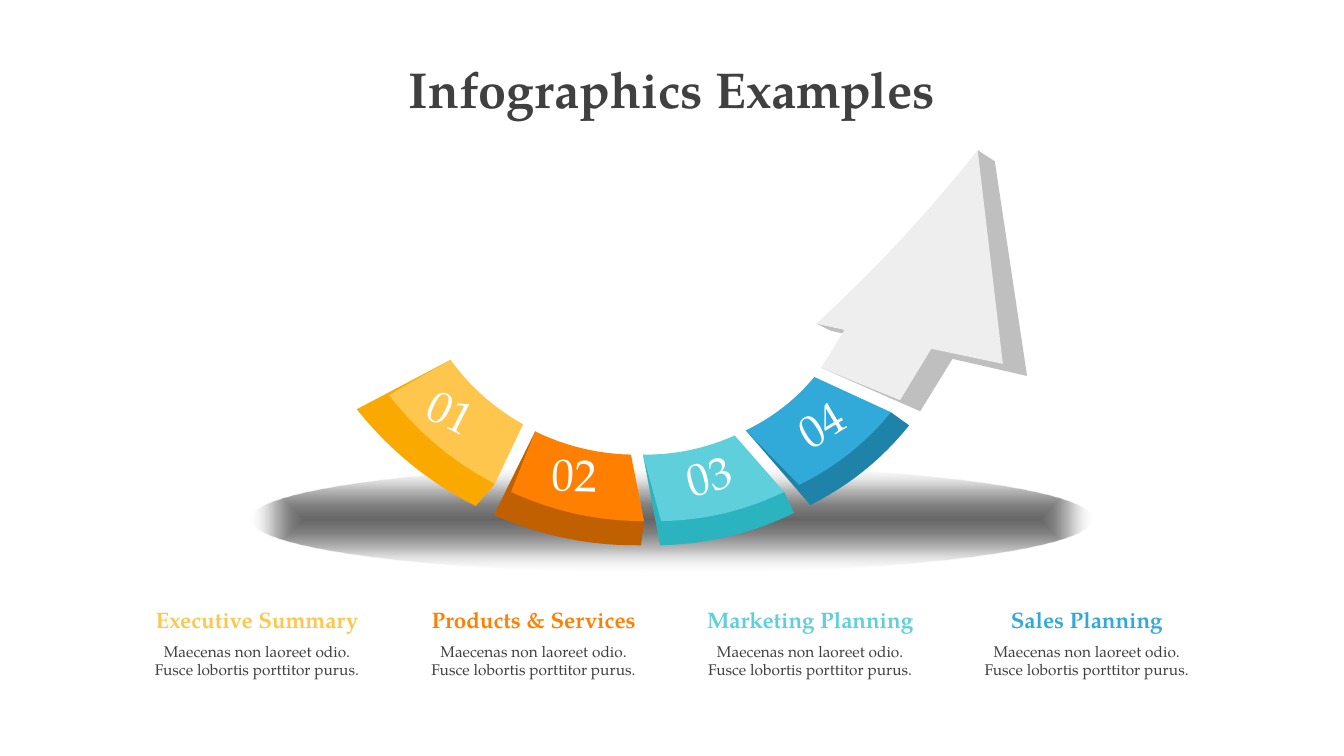
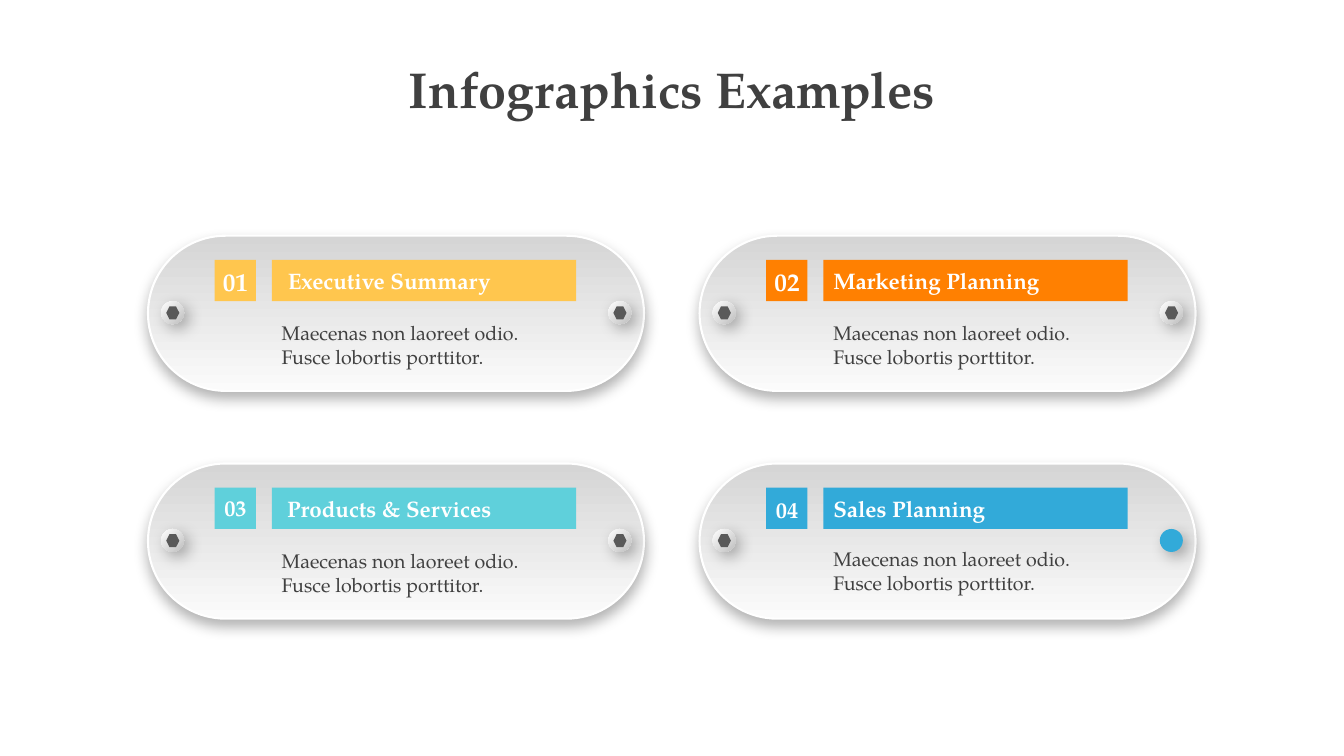
from pptx import Presentation
from pptx import util as u
from pptx.dml.color import RGBColor
from pptx.enum import shapes, text
from pptx.oxml import parse_xml
from pptx.oxml.ns import nsdecls, qn

FONT = "TeX Gyre Pagella"
COLORS = {
    "ink": "404040", "white": "FFFFFF", "black": "000000",
    "yellow": "FFC64E", "yellow_side": "FAA900",
    "orange": "FF8001", "orange_side": "C06000",
    "teal": "5FD0DB", "teal_side": "2BB3C0",
    "blue": "32AAD9", "blue_side": "1F82A9",
    "arrow": "EEEEEE", "arrow_side": "BFBFBF",
    "panel_top": "D5D5D5", "panel_end": "FBFBFB",
    "ground_edge": "D7D7D7", "hole": "595959",
}
STEP_COLORS = ["yellow", "orange", "teal", "blue"]
TITLE = "Infographics Examples"
GRID = u.Cm(0.0254)  # drawing unit of the ribbon outlines
BOW = 0.055  # sag of the ribbon edges, as a share of their length
CURVE_STEPS = 12
PANEL_SHADOW = dict(alpha=30, blur=10, distance=5, angle=90)
BOLT_SHADOW = dict(alpha=29, blur=11, distance=5, angle=45)

# Left and right ends of each block's inner, outer and bottom edge
RIBBON = [
    [((447, 357), (519, 421)), ((386, 392), (491, 480)), ((354, 406), (472, 502))],
    [((531, 428), (626, 451)), ((507, 488), (639, 517)), ((490, 511), (636, 541))],
    [((638, 451), (729, 432)), ((656, 517), (778, 488)), ((655, 541), (788, 509))],
    [((740, 427), (808, 374)), ((793, 481), (884, 409)), ((804, 501), (902, 422))],
]
# Corners of the arrowhead
TIP, LEFT_BARB, RIGHT_BARB = (970, 149), (810, 321), (995, 361)
NECK_LEFT, NECK_RIGHT = (838, 327), (924, 346)
TAIL_LEFT, TAIL_RIGHT = (815, 365), (893, 397)
ARROW_SIDE = [TIP, (987, 160), (1019, 373), (945, 356), (913, 408), TAIL_LEFT,
              (837, 331), (824, 328), LEFT_BARB, NECK_RIGHT]
# Left, top and rotation of the numbers on the ribbon
RIBBON_NUMBERS = [(10.44, 9.55, 27), (13.56, 11.13, 2), (16.94, 11.15, -15), (19.76, 9.86, -31)]
CAPTIONS = ["Executive Summary", "Products & Services", "Marketing Planning", "Sales Planning"]

# Heading, heading alignment, number size, number top, description top
PANELS = [
    ("Executive Summary", "CENTER", 18, 0.64, 2.03),
    ("Marketing Planning", "LEFT", 18, 0.64, 2.03),
    ("Products & Services", "CENTER", 16, 0.64, 2.03),
    ("Sales Planning", "LEFT", 16, 0.69, 1.98),
]


def rgb(color):
    return RGBColor.from_string(COLORS[color])


def sagging(start, end, bow=BOW):
    """Points of an edge, left to right, that sags below its chord."""
    (x, y), (end_x, end_y) = start, end
    width, height = end_x - x, end_y - y
    points = []
    for step in range(CURVE_STEPS + 1):
        t = step / CURVE_STEPS
        sag = 4 * bow * t * (1 - t)
        points.append((x + t * width - sag * height, y + t * height + sag * width))
    return points


class Deck:
    def __init__(self):
        self.prs = Presentation()
        self.prs.slide_width, self.prs.slide_height = u.Cm(33.87), u.Cm(19.05)
        self.slide = None

    def new_slide(self, title):
        self.slide = self.prs.slides.add_slide(self.prs.slide_layouts[6])
        self.label((0, 1.35, 33.87, 1.8), [(title, 36, "ink", True)])

    def label(self, box, lines, align="CENTER", rotation=0):
        """Each line is (wording, size, colour, bold)."""
        holder = self.slide.shapes.add_textbox(*map(u.Cm, box))
        holder.rotation = rotation
        frame = holder.text_frame
        frame.word_wrap = True
        frame.auto_size = text.MSO_AUTO_SIZE.SHAPE_TO_FIT_TEXT
        for index, (wording, size, color, bold) in enumerate(lines):
            line = frame.add_paragraph() if index else frame.paragraphs[0]
            line.alignment = getattr(text.PP_ALIGN, align)
            if index:
                line.space_before = u.Pt(6)
            run = line.add_run()
            run.text = wording
            run.font.name, run.font.size, run.font.bold = FONT, u.Pt(size), bold
            run.font.color.rgb = rgb(color)

    def paint(self, shape, color):
        shape.shadow.inherit = False
        shape.line.fill.background()
        shape.fill.solid()
        shape.fill.fore_color.rgb = rgb(color)
        return shape

    def block(self, kind, box, color):
        kind = getattr(shapes.MSO_SHAPE, kind)
        return self.paint(self.slide.shapes.add_shape(kind, *map(u.Cm, box)), color)

    def outline(self, points, color):
        start, *rest = [(x * GRID, y * GRID) for x, y in points]
        builder = self.slide.shapes.build_freeform(*start)
        builder.add_line_segments(rest, close=True)
        self.paint(builder.convert_to_shape(), color)

    def ribbon_block(self, inner, outer, bottom, color):
        self.outline([inner[0], *sagging(*bottom), outer[1]], f"{color}_side")
        self.outline(sagging(*inner) + sagging(*outer)[::-1], color)

    def arrowhead(self):
        self.outline(ARROW_SIDE, "arrow_side")
        self.outline(sagging(LEFT_BARB, TIP, 0.02) + [
            RIGHT_BARB, NECK_RIGHT, TAIL_RIGHT, TAIL_LEFT, NECK_LEFT], "arrow")

    def gradient(self, shape, stops, angle=None):
        """Stops are (position, colour, opacity); no angle spreads from the centre."""
        marks = "".join(
            f'<a:gs pos="{pos * 1000}"><a:srgbClr val="{COLORS[color]}">'
            f'<a:alpha val="{alpha * 1000}"/></a:srgbClr></a:gs>'
            for pos, color, alpha in stops)
        if angle is None:
            spread = ('<a:path path="shape"><a:fillToRect l="50000" t="50000" '
                      'r="50000" b="50000"/></a:path>')
        else:
            spread = f'<a:lin ang="{angle * 60000}" scaled="0"/>'
        props = shape._element.spPr
        props.replace(props.find(qn("a:solidFill")), parse_xml(
            f'<a:gradFill {nsdecls("a")} rotWithShape="1"><a:gsLst>{marks}</a:gsLst>'
            f'{spread}</a:gradFill>'))

    def drop_shadow(self, shape, alpha, blur, distance, angle):
        shape._element.spPr.find(qn("a:effectLst")).append(parse_xml(
            f'<a:outerShdw {nsdecls("a")} blurRad="{u.Pt(blur)}" dist="{u.Pt(distance)}" '
            f'dir="{angle * 60000}" algn="ctr" rotWithShape="0">'
            f'<a:srgbClr val="{COLORS["black"]}"><a:alpha val="{alpha * 1000}"/></a:srgbClr>'
            f'</a:outerShdw>'))

    def bolt(self, left, top, plain_color=None):
        head = self.block("OVAL", (left, top, 0.58, 0.58), plain_color or "white")
        if not plain_color:
            self.gradient(head, [(0, "white", 100), (100, "arrow_side", 100)], 45)
        self.drop_shadow(head, **BOLT_SHADOW)
        self.block("HEXAGON", (left + 0.13, top + 0.13, 0.33, 0.33), plain_color or "hole")

    def panel(self, left, top):
        plate = self.block("ROUNDED_RECTANGLE", (left, top, 12.5, 3.91), "white")
        plate.adjustments[0] = 0.5
        self.gradient(plate, [(0, "panel_top", 100), (100, "panel_end", 100)], 90)
        plate.line.color.rgb = rgb("white")
        plate.line.width = u.Pt(1.5)
        self.drop_shadow(plate, **PANEL_SHADOW)


def ribbon_slide(deck):
    deck.new_slide(TITLE)
    # Shadow on the ground
    ground = deck.block("OVAL", (6.32, 11.73, 21.21, 2.69), "black")
    deck.gradient(ground, [(0, "black", 60), (27, "black", 49), (54, "black", 28),
                           (100, "ground_edge", 0)])
    # Ribbon and its numbers
    for edges, color in zip(RIBBON, STEP_COLORS):
        deck.ribbon_block(*edges, color)
    deck.arrowhead()
    for number, (left, top, rotation) in enumerate(RIBBON_NUMBERS, 1):
        deck.label((left, top, 1.85, 1.63), [(f"{number:02}", 32, "white", False)],
                   rotation=rotation)
    # Captions
    for column, (heading, color) in enumerate(zip(CAPTIONS, STEP_COLORS)):
        deck.label((3.38 + 6.97 * column, 15.16, 6.2, 2.08), [
            (heading, 16, color, True),
            ("Maecenas non laoreet odio. Fusce lobortis porttitor purus.", 11, "ink", False)])


def panel_slide(deck):
    deck.new_slide(TITLE)
    for index, (panel, color) in enumerate(zip(PANELS, STEP_COLORS)):
        heading, align, number_size, number_top, description_top = panel
        row, column = divmod(index, 2)
        left, top = 3.73 + 13.9 * column, 5.94 + 5.74 * row
        bar_left = left + 3.12
        # Plate, badge and heading bar
        deck.panel(left, top)
        deck.block("RECTANGLE", (left + 1.68, top + 0.61, 1.04, 1.04), color)
        deck.block("RECTANGLE", (bar_left, top + 0.61, 7.67, 1.04), color)
        # Bolts: the last one is plain
        deck.bolt(left + 0.33, top + 1.65)
        deck.bolt(left + 11.6, top + 1.65, color if index == len(PANELS) - 1 else None)
        # Wording
        deck.label((left + 1.52, top + number_top, 1.37, 1.02),
                   [(f"{index + 1:02}", number_size, "white", True)])
        deck.label((bar_left, top + 0.66, 5.92, 0.94), [(heading, 16, "white", True)], align)
        deck.label((bar_left, top + description_top, 7.67, 1.45),
                   [("Maecenas non laoreet odio. Fusce lobortis porttitor.", 14, "ink", False)],
                   "LEFT")


def main():
    deck = Deck()
    ribbon_slide(deck)
    panel_slide(deck)
    deck.prs.save("out.pptx")


if __name__ == "__main__":
    main()
